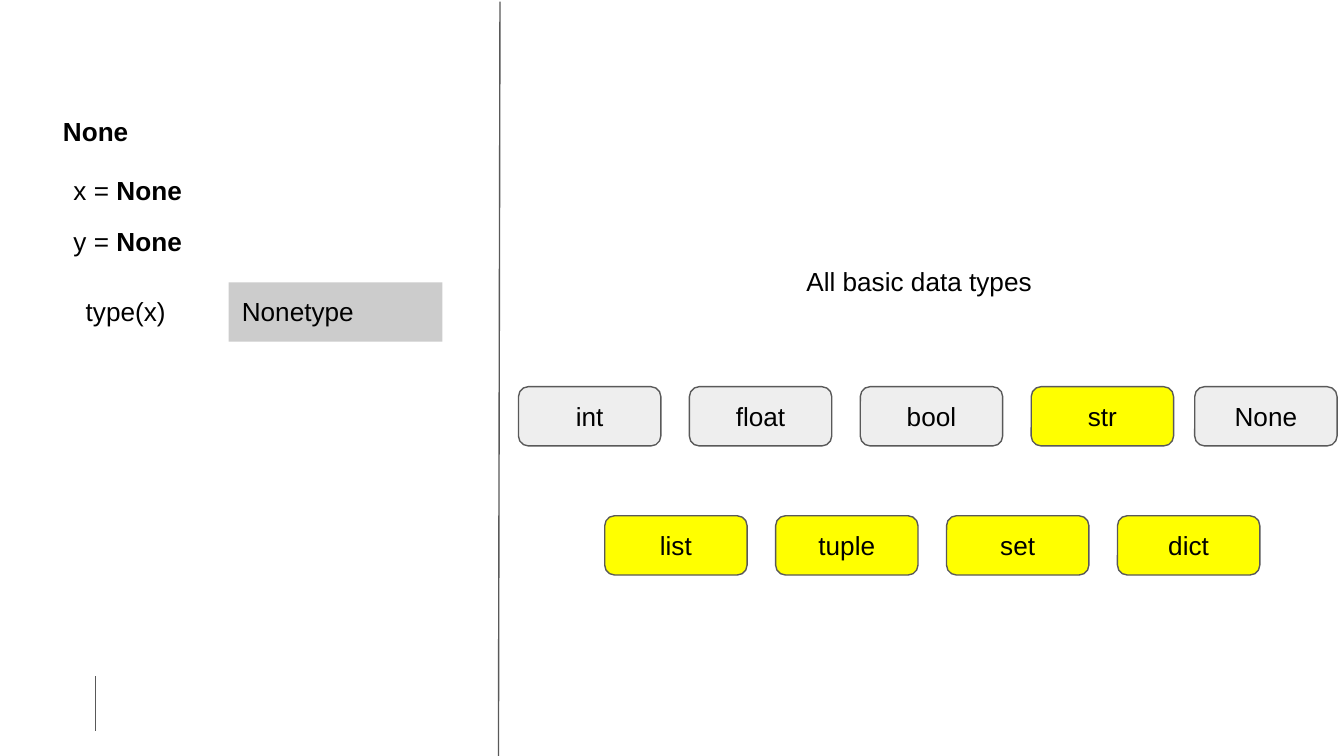
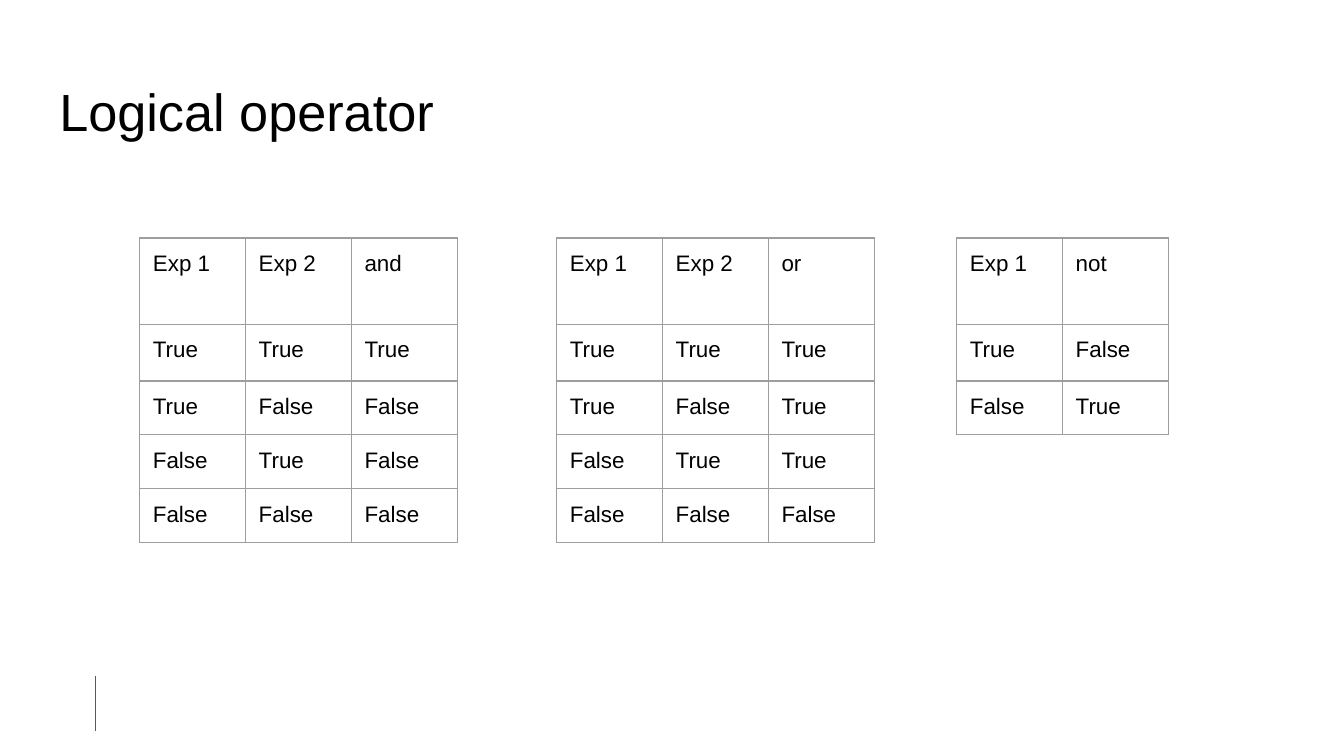
"""Build two slides on basic Python data types and logical operators."""
from dataclasses import dataclass

from lxml import etree
from pptx import Presentation
from pptx.dml.color import RGBColor
from pptx.enum import shapes, text
from pptx.oxml.ns import qn
from pptx.util import Cm, Pt


@dataclass(frozen=True)
class Theme:
    ink: str = "000000"
    line: str = "595959"
    grid: str = "9E9E9E"
    result: str = "CCCCCC"
    plain: str = "EEEEEE"
    accent: str = "FFFF00"
    font: str = "Arial"
    title: int = 28
    body: int = 14
    cell: int = 12
    stroke: float = 0.75
    inset: float = 0.25


T = Theme()
WIDTH, HEIGHT = 25.4, 14.29
FOOTER_RULE = (1.8, 12.78, 1.8, 13.82)
DIVIDER = (9.45, 0.03, 9.42, 14.35)

NOTES = [
    ([("None", True)], (0.94, 1.93, 1.88, 1.12)),
    (["x = ", ("None", True)], (1.14, 3.05, 2.69, 1.12)),
    (["y = ", ("None", True)], (1.14, 4.01, 2.69, 1.12)),
    (["type(x)"], (1.37, 5.34, 2.69, 1.12)),
]
RESULT = (["Nonetype"], (4.32, 5.34, 4.04, 1.12))
CAPTION = (["All basic data types"], (14.99, 4.77, 5.23, 1.12))

CHIP_W, CHIP_H, CHIP_PITCH = 2.69, 1.12, 3.23
CHIP_ROWS = [
    (11.43, 9.75, ["list", "tuple", "set", "dict"]),
    (9.8, 7.31, ["int", "float", "bool", "str"]),
    (22.58, 7.31, ["None"]),
]
HIGHLIGHTED = {"str", "list", "tuple", "set", "dict"}

TITLE = (["Logical operator"], (0.87, 1.24, 23.67, 1.6))
TABLE_TOP, COL_W = 4.5, 2.0
ROW_HEIGHTS = [1.63, 1.07, 1.02, 1.02, 1.02]
TABLES = [
    (2.64, [
        ["Exp 1", "Exp 2", "and"],
        ["True", "True", "True"],
        ["True", "False", "False"],
        ["False", "True", "False"],
        ["False", "False", "False"],
    ]),
    (10.52, [
        ["Exp 1", "Exp 2", "or"],
        ["True", "True", "True"],
        ["True", "False", "True"],
        ["False", "True", "True"],
        ["False", "False", "False"],
    ]),
    (18.08, [
        ["Exp 1", "not"],
        ["True", "False"],
        ["False", "True"],
    ]),
]


def rgb(value):
    return RGBColor.from_string(value)


def write(holder, runs, size=T.body, align=text.PP_ALIGN.LEFT,
          anchor=text.MSO_ANCHOR.TOP):
    holder.vertical_anchor = anchor
    holder.margin_left = holder.margin_right = Cm(T.inset)
    holder.margin_top = holder.margin_bottom = Cm(T.inset)
    tf = getattr(holder, "text_frame", holder)
    tf.word_wrap = True
    p = tf.paragraphs[0]
    p.alignment = align
    for run in runs:
        words, bold = (run, False) if isinstance(run, str) else run
        r = p.add_run()
        r.text = words
        r.font.size, r.font.name, r.font.bold = Pt(size), T.font, bold
        r.font.color.rgb = rgb(T.ink)


def add_text(s, runs, box, **fmt):
    write(s.shapes.add_textbox(*map(Cm, box)).text_frame, runs, **fmt)


def add_box(s, kind, runs, box, fill, line=None, **fmt):
    sp = s.shapes.add_shape(kind, *map(Cm, box))
    sp.shadow.inherit = False
    sp.fill.solid()
    sp.fill.fore_color.rgb = rgb(fill)
    if line:
        sp.line.color.rgb = rgb(line)
        sp.line.width = Pt(T.stroke)
    else:
        sp.line.fill.background()
    write(sp.text_frame, runs, **fmt)


def add_line(s, ends):
    cx = s.shapes.add_connector(shapes.MSO_CONNECTOR.STRAIGHT, *map(Cm, ends))
    cx.line.color.rgb = rgb(T.line)
    cx.line.width = Pt(T.stroke)
    etree.SubElement(cx._element.spPr, qn("a:effectLst"))


def add_borders(cell):
    tc_pr = cell._tc.get_or_add_tcPr()
    for side in ("lnL", "lnR", "lnT", "lnB"):
        ln = etree.SubElement(tc_pr, qn(f"a:{side}"), w=str(Pt(T.stroke)))
        fill = etree.SubElement(ln, qn("a:solidFill"))
        etree.SubElement(fill, qn("a:srgbClr"), val=T.grid)


def add_truth_table(s, left, rows):
    heights = ROW_HEIGHTS[:len(rows)]
    cols = len(rows[0])
    frame = s.shapes.add_table(len(rows), cols, Cm(left), Cm(TABLE_TOP),
                               Cm(COL_W * cols), Cm(sum(heights)))
    table = frame.table
    table.first_row = table.horz_banding = False
    for col in table.columns:
        col.width = Cm(COL_W)
    for i, (values, height) in enumerate(zip(rows, heights)):
        table.rows[i].height = Cm(height)
        for j, value in enumerate(values):
            cell = table.cell(i, j)
            add_borders(cell)
            cell.fill.background()
            write(cell, [value], size=T.cell)


def new_slide(prs, layout):
    s = prs.slides.add_slide(prs.slide_layouts.get_by_name(layout))
    add_line(s, FOOTER_RULE)
    return s


def build_data_types(prs):
    s = new_slide(prs, "Blank")
    for runs, box in NOTES:
        add_text(s, runs, box)
    add_box(s, shapes.MSO_SHAPE.RECTANGLE, *RESULT, T.result)
    add_line(s, DIVIDER)
    for left, top, names in CHIP_ROWS:
        for i, name in enumerate(names):
            box = (left + i * CHIP_PITCH, top, CHIP_W, CHIP_H)
            fill = T.accent if name in HIGHLIGHTED else T.plain
            add_box(s, shapes.MSO_SHAPE.ROUNDED_RECTANGLE, [name], box, fill,
                    T.line, align=text.PP_ALIGN.CENTER,
                    anchor=text.MSO_ANCHOR.MIDDLE)
    add_text(s, *CAPTION)


def build_logical_operators(prs):
    s = new_slide(prs, "Title Only")
    runs, box = TITLE
    title = s.shapes.title
    title.left, title.top, title.width, title.height = map(Cm, box)
    title.text_frame.auto_size = text.MSO_AUTO_SIZE.NONE
    write(title.text_frame, runs, size=T.title)
    for left, rows in TABLES:
        add_truth_table(s, left, rows)


def main():
    prs = Presentation()
    prs.slide_width, prs.slide_height = Cm(WIDTH), Cm(HEIGHT)
    build_data_types(prs)
    build_logical_operators(prs)
    prs.save("out.pptx")


if __name__ == "__main__":
    main()
